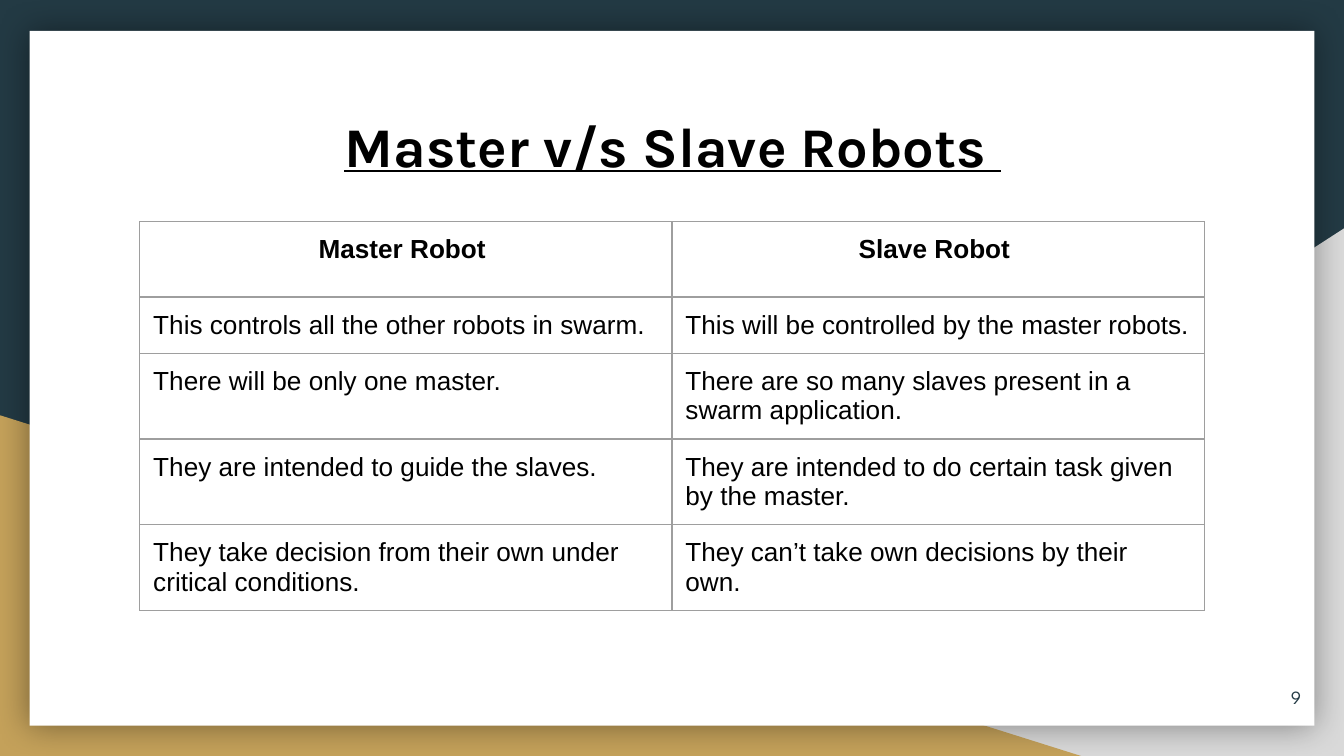
"""Build the slide that compares master and slave robots in a table."""
from lxml.etree import SubElement
from pptx import Presentation
from pptx.dml.color import RGBColor
from pptx.enum.shapes import MSO_SHAPE as SHAPE
from pptx.enum.text import MSO_ANCHOR as ANCHOR, MSO_AUTO_SIZE as FIT, PP_ALIGN as ALIGN
from pptx.oxml import parse_xml
from pptx.oxml.ns import qn
from pptx.util import Inches, Pt

COLORS = {"navy": "233A44", "grey": "D9D9D9", "gold": "C4A15A",
          "white": "FFFFFF", "black": "000000", "border": "9E9E9E"}
TITLE = "Master v/s Slave Robots "
PAGE = "9"
ROWS = [
    ("Master Robot ", "Slave Robot "),
    ("This controls all the other robots in swarm.",
     "This will be controlled by the master robots."),
    ("There will be only one master.",
     "There are so many slaves present in a swarm application."),
    ("They are intended to guide the slaves.",
     "They are intended to do certain task given by the master."),
    ("They take decision from their own under critical conditions.",
     "They can’t take own decisions by their own."),
]
BACKDROP = [
    (SHAPE.RIGHT_TRIANGLE, "grey", (3.92, 1.7, 6.08, 3.93), True),
    (SHAPE.RIGHT_TRIANGLE, "gold", (0, 3.09, 8.06, 2.54), False),
    (SHAPE.RECTANGLE, "white", (0.22, 0.23, 9.56, 5.17), False),
]
TITLE_BOX = (0.9, 0.73, 8.21, 1.04)
TABLE_BOX = (1.04, 1.65, 7.92, 2.99)
PAGE_BOX = (9.18, 4.97, 0.6, 0.43)
HEADER_HEIGHT, ROW_HEIGHT = 0.56, 0.42
SHADOW = (
    '<a:effectLst xmlns:a="http://schemas.openxmlformats.org/drawingml/2006/main">'
    f'<a:outerShdw blurRad="{Pt(18)}" dist="0" dir="0" algn="ctr" rotWithShape="0">'
    f'<a:srgbClr val="{COLORS["black"]}"><a:alpha val="40000"/></a:srgbClr>'
    '</a:outerShdw></a:effectLst>')


def rgb(name):
    return RGBColor.from_string(COLORS[name])


def inches(box):
    return [Inches(v) for v in box]


def set_margins(box):
    box.margin_left = box.margin_right = Inches(0.1)
    box.margin_top = box.margin_bottom = Inches(0.1)


def write(tf, text, size=14, font="Arial", color="black", bold=False,
          underline=False, align=ALIGN.LEFT):
    p = tf.paragraphs[0]
    p.alignment = align
    r = p.add_run()
    r.text = text
    r.font.size, r.font.name = Pt(size), font
    r.font.bold, r.font.underline = bold, underline
    r.font.color.rgb = rgb(color)


def add_backdrop(s):
    for kind, color, box, flip in BACKDROP:
        sp = s.shapes.add_shape(kind, *inches(box))
        sp.shadow.inherit = False
        sp.fill.solid()
        sp.fill.fore_color.rgb = rgb(color)
        sp.line.fill.background()
        if flip:
            sp.element.spPr.find(qn("a:xfrm")).set("flipH", "1")
    effects = sp.element.spPr.find(qn("a:effectLst"))
    effects.getparent().replace(effects, parse_xml(SHADOW))


def add_borders(cell):
    tc_pr = cell._tc.get_or_add_tcPr()
    for side in ("lnL", "lnR", "lnT", "lnB"):
        ln = SubElement(tc_pr, qn(f"a:{side}"), w=str(Pt(0.75)))
        fill = SubElement(ln, qn("a:solidFill"))
        SubElement(fill, qn("a:srgbClr"), val=COLORS["border"])


def add_comparison(s):
    frame = s.shapes.add_table(len(ROWS), len(ROWS[0]), *inches(TABLE_BOX))
    table = frame.table
    table.first_row = table.horz_banding = False
    for i, row in enumerate(ROWS):
        header = i == 0
        table.rows[i].height = Inches(HEADER_HEIGHT if header else ROW_HEIGHT)
        for j, text in enumerate(row):
            cell = table.cell(i, j)
            set_margins(cell)
            add_borders(cell)
            cell.fill.background()
            write(cell.text_frame, text, bold=header,
                  align=ALIGN.CENTER if header else ALIGN.LEFT)
    frame.height = Inches(TABLE_BOX[3])


def add_title(s):
    sp = s.shapes.title
    sp.left, sp.top, sp.width, sp.height = inches(TITLE_BOX)
    sp.element.getparent().append(sp.element)
    tf = sp.text_frame
    tf.word_wrap, tf.auto_size, tf.vertical_anchor = True, FIT.NONE, ANCHOR.TOP
    set_margins(tf)
    write(tf, TITLE, size=30, font="Karla", bold=True, underline=True, align=ALIGN.CENTER)


def add_page_number(s):
    tf = s.shapes.add_textbox(*inches(PAGE_BOX)).text_frame
    tf.word_wrap, tf.vertical_anchor = True, ANCHOR.MIDDLE
    set_margins(tf)
    write(tf, PAGE, size=10, font="League Spartan", color="navy", align=ALIGN.RIGHT)


def main():
    prs = Presentation()
    prs.slide_width = Inches(10)
    prs.slide_height = prs.slide_width * 9 // 16
    s = prs.slides.add_slide(prs.slide_layouts[5])
    s.background.fill.solid()
    s.background.fill.fore_color.rgb = rgb("navy")
    add_backdrop(s)
    add_comparison(s)
    add_title(s)
    add_page_number(s)
    prs.save("out.pptx")


if __name__ == "__main__":
    main()
